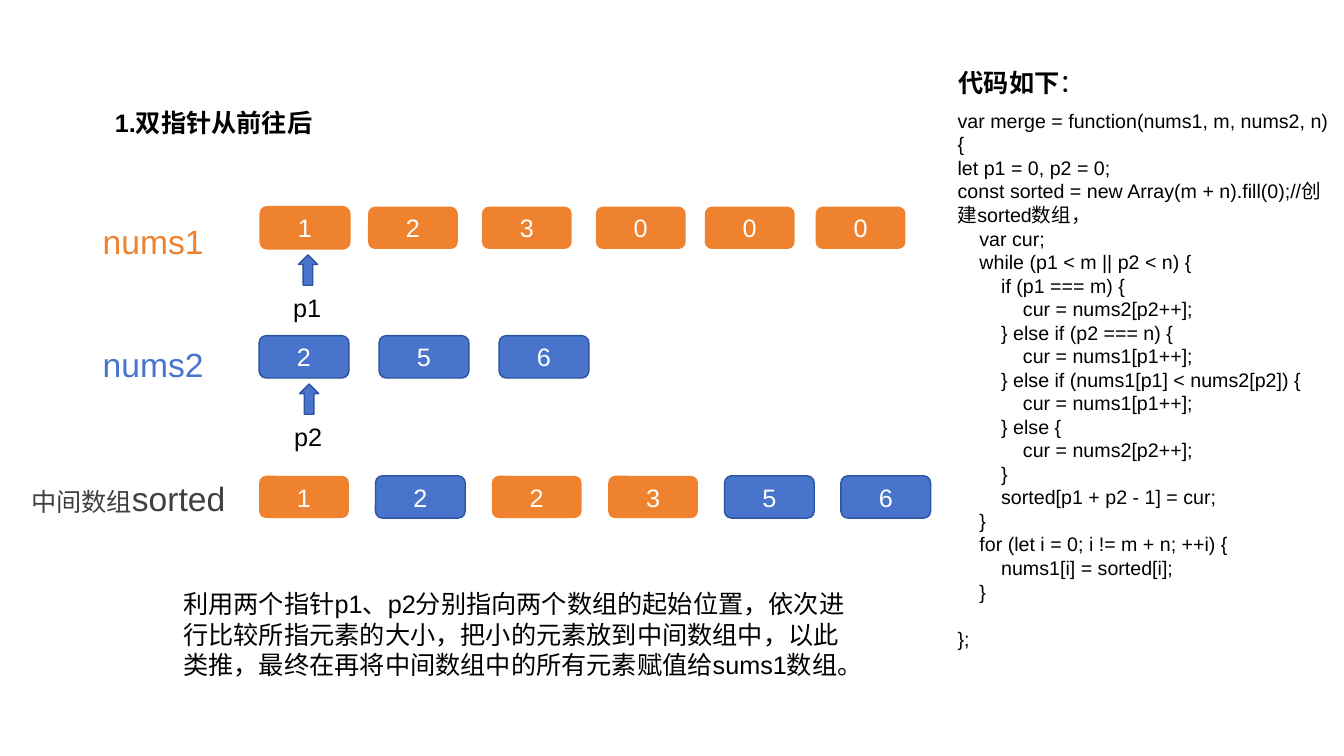
"""Build the slide on merging two sorted arrays with two forward pointers."""
from dataclasses import dataclass

from pptx import Presentation
from pptx.dml.color import RGBColor
from pptx.enum import shapes, text
from pptx.util import Inches, Pt


@dataclass(frozen=True)
class Theme:
    """Colours, font and type sizes of the slide."""
    font: str = "Arial"
    orange: str = "EE822F"
    blue: str = "4874CB"
    navy: str = "2E54A1"
    grey: str = "404040"
    black: str = "000000"
    white: str = "FFFFFF"
    label: int = 24
    body: int = 18
    code: int = 14
    code_line: float = 16.8
    code_indent: float = 0.216


THEME = Theme()
CELL_WIDTH, CELL_HEIGHT = 0.89, 0.42

CODE = [
    (0, "var merge = function(nums1, m, nums2, n) {"),
    (0, "let p1 = 0, p2 = 0;"),
    (0, "const sorted = new Array(m + n).fill(0);//创建sorted数组，"),
    (1, "var cur;"),
    (1, "while (p1 < m || p2 < n) {"),
    (2, "if (p1 === m) {"),
    (3, "cur = nums2[p2++];"),
    (2, "} else if (p2 === n) {"),
    (3, "cur = nums1[p1++];"),
    (2, "} else if (nums1[p1] < nums2[p2]) {"),
    (3, "cur = nums1[p1++];"),
    (2, "} else {"),
    (3, "cur = nums2[p2++];"),
    (2, "}"),
    (2, "sorted[p1 + p2 - 1] = cur;"),
    (1, "}"),
    (1, "for (let i = 0; i != m + n; ++i) {"),
    (2, "nums1[i] = sorted[i];"),
    (1, "}"),
    (0, "};"),
]

DESCRIPTION = (
    "利用两个指针p1、p2分别指向两个数组的起始位置，依次进行比较所指元素的大小，"
    "把小的元素放到中间数组中，以此类推，最终在再将中间数组中的所有元素赋值给sums1数组。"
)


def style_font(font, size, color, bold=False):
    """Set the typeface, size, colour and weight of a font."""
    font.name = THEME.font
    font.size = Pt(size)
    font.bold = bold
    font.color.rgb = RGBColor.from_string(color)


def add_text_frame(slide, left, top, width, height):
    """Add a wrapping text box and return its text frame."""
    box = slide.shapes.add_textbox(Inches(left), Inches(top), Inches(width), Inches(height))
    box.text_frame.word_wrap = True
    return box.text_frame


def add_label(slide, content, bounds, size=THEME.body, color=THEME.black, bold=False):
    """Add a text box with one evenly styled paragraph."""
    paragraph = add_text_frame(slide, *bounds).paragraphs[0]
    paragraph.text = content
    style_font(paragraph.font, size, color, bold)


def add_mixed_label(slide, bounds, runs):
    """Add a one-paragraph text box from (text, size, colour, bold) runs."""
    paragraph = add_text_frame(slide, *bounds).paragraphs[0]
    for content, *style in runs:
        run = paragraph.add_run()
        run.text = content
        style_font(run.font, *style)


def add_block(slide, kind, bounds, fill, outline=None):
    """Add a filled preset shape, outlined when a line colour is given."""
    shape = slide.shapes.add_shape(kind, *(Inches(length) for length in bounds))
    shape.shadow.inherit = False
    shape.fill.solid()
    shape.fill.fore_color.rgb = RGBColor.from_string(fill)
    if outline:
        shape.line.color.rgb = RGBColor.from_string(outline)
        shape.line.width = Pt(1)
    else:
        shape.line.fill.background()
    return shape


def add_cell(slide, value, left, top, fill, outline=None):
    """Add one rounded array cell with its value."""
    bounds = (left, top, CELL_WIDTH, CELL_HEIGHT)
    shape = add_block(slide, shapes.MSO_SHAPE.ROUNDED_RECTANGLE, bounds, fill, outline)
    shape.text_frame.vertical_anchor = text.MSO_ANCHOR.MIDDLE
    paragraph = shape.text_frame.paragraphs[0]
    paragraph.text = str(value)
    paragraph.alignment = text.PP_ALIGN.CENTER
    style_font(paragraph.font, THEME.body, THEME.white)


def add_pointer(slide, name, left, top):
    """Add an up arrow with the pointer's name below it."""
    add_block(slide, shapes.MSO_SHAPE.UP_ARROW, (left, top, 0.19, 0.3), THEME.blue, THEME.navy)
    add_label(slide, name, (left - 0.15, top + 0.32, 0.5, 0.25))


def add_code(slide, lines, bounds):
    """Add a code listing, each line indented by its nesting level."""
    frame = add_text_frame(slide, *bounds)
    for index, (level, content) in enumerate(lines):
        paragraph = frame.paragraphs[0] if index == 0 else frame.add_paragraph()
        paragraph.text = content
        paragraph.line_spacing = Pt(THEME.code_line)
        style_font(paragraph.font, THEME.code, THEME.black)
        properties = paragraph._p.get_or_add_pPr()
        properties.set("marL", str(Inches(level * THEME.code_indent)))
        properties.set("indent", "0")
    paragraph.space_before = Pt(THEME.code_line)


def add_arrays(slide):
    """Add the two source arrays and the sorted array."""
    orange, blue = (THEME.orange, None), (THEME.blue, THEME.navy)
    nums1_lefts = (2.58, 3.65, 4.78, 5.91, 6.99, 8.09)
    for index, (value, left) in enumerate(zip((1, 2, 3, 0, 0, 0), nums1_lefts)):
        outline = THEME.orange if index == 0 else None
        add_cell(slide, value, left, 2.05, THEME.orange, outline)
    for index, value in enumerate((2, 5, 6)):
        add_cell(slide, value, 2.57 + 1.19 * index, 3.33, *blue)
    merged = ((1, orange), (2, blue), (2, orange), (3, orange), (5, blue), (6, blue))
    for index, (value, style) in enumerate(merged):
        add_cell(slide, value, 2.57 + 5.77 / 5 * index, 4.72, *style)


def main():
    """Build and save the slide."""
    presentation = Presentation()
    presentation.slide_width = Inches(13.33)
    presentation.slide_height = Inches(7.5)
    slide = presentation.slides.add_slide(presentation.slide_layouts[6])

    add_label(slide, "1.双指针从前往后", (1.04, 1.02, 2.54, 0.27), bold=True)
    add_label(slide, "nums1", (0.92, 2.14, 1.4, 0.46), THEME.label, THEME.orange)
    add_label(slide, "nums2", (0.92, 3.36, 1.4, 0.46), THEME.label, THEME.blue)
    add_mixed_label(slide, (0.21, 4.69, 2.5, 0.46), [
        ("中间数组", THEME.body, THEME.grey, False),
        ("sorted", THEME.label, THEME.grey, False),
    ])
    add_arrays(slide)
    add_pointer(slide, "p1", 2.96, 2.53)
    add_pointer(slide, "p2", 2.97, 3.81)
    add_code(slide, CODE, (9.4, 1.03, 3.93, 5.94))
    add_mixed_label(slide, (9.41, 0.62, 2.78, 0.4), [
        ("代码如下", THEME.body, THEME.black, True),
        ("：", THEME.body, THEME.black, False),
    ])
    add_label(slide, DESCRIPTION, (1.72, 5.79, 6.81, 1.01))
    presentation.save("out.pptx")


if __name__ == "__main__":
    main()
